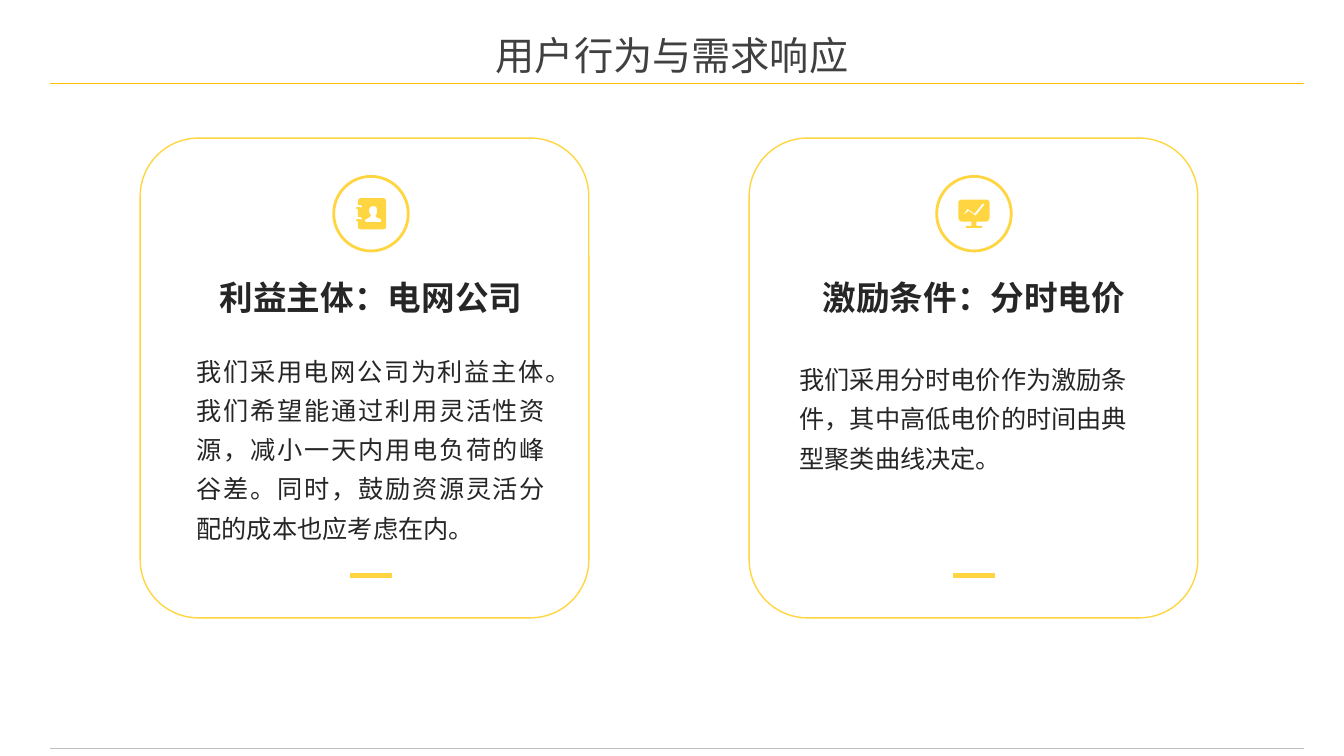
from pptx import Presentation
from pptx.dml.color import RGBColor
from pptx.enum.shapes import MSO_CONNECTOR as Connector, MSO_SHAPE as Preset
from pptx.enum.text import MSO_ANCHOR as Anchor, PP_ALIGN as Align
from pptx.oxml.ns import qn
from pptx.util import Inches, Pt
from lxml.etree import SubElement

THEME = {
    "yellow": RGBColor.from_string("FFD641"),
    "amber": RGBColor.from_string("FFC000"),
    "grey": RGBColor.from_string("BFBFBF"),
    "white": RGBColor.from_string("FFFFFF"),
    "title": {"name": "Noto Sans CJK SC", "size": Pt(28),
              "color": RGBColor.from_string("404040")},
    "heading": {"name": "Arial", "size": Pt(24), "bold": True,
                "color": RGBColor.from_string("262626")},
    "body": {"name": "Arial", "size": Pt(18), "bold": False,
             "color": RGBColor.from_string("262626")},
}

# The slide is a grid of 1333 columns by 750 rows of square cells
CELL = Inches(0.01)
COLUMNS, ROWS = 1333, 750

# Icon outlines in cells: pairs are corners, sixes are curves
CONTACT_BOOK = (30, 31, [
    [(27, 0), (5, 0), (3, 0, 2, 2, 2, 3), (2, 7), (5, 7), (6, 7, 6, 10, 5, 10),
     (5, 9, 4, 9, 4, 9), (1, 9), (0, 9, 0, 11, 1, 11), (2, 11), (2, 19), (5, 19),
     (6, 19, 6, 22, 5, 22), (5, 21, 4, 21, 4, 21), (1, 21), (0, 21, 0, 23, 1, 23),
     (2, 23), (2, 28), (2, 30, 3, 31, 5, 31), (27, 31), (29, 31, 30, 30, 30, 28),
     (30, 3), (30, 2, 29, 0, 27, 0)],
    [(25, 23), (25, 24), (10, 24), (9, 24, 9, 22, 9, 22), (10, 21, 11, 20, 12, 20),
     (13, 19, 15, 18, 15, 17), (14, 16, 13, 14, 13, 13), (13, 10, 14, 8, 17, 8),
     (21, 8, 21, 10, 21, 13), (21, 14, 21, 16, 20, 17), (19, 17, 19, 18, 22, 20),
     (24, 20, 25, 21, 25, 22)],
])
MONITOR = (31, 28, [
    [(27, 0), (4, 0), (2, 0, 0, 1, 0, 3), (0, 18), (0, 20, 2, 22, 4, 22), (13, 22),
     (13, 26), (8, 26), (7, 26, 7, 28, 8, 28), (23, 28), (24, 28, 24, 26, 23, 26),
     (18, 26), (18, 22), (27, 22), (29, 22, 31, 20, 31, 18), (31, 3),
     (31, 1, 29, 0, 27, 0)],
    [(26, 5), (17, 16), (10, 11), (7, 14), (6, 15), (6, 14), (9, 9), (16, 14),
     (24, 4), (25, 4)],
])
CARDS = [
    ("利益主体：电网公司",
     "我们采用电网公司为利益主体。我们希望能通过利用灵活性资源，减小一天内用电负荷的峰谷差。"
     "同时，鼓励资源灵活分配的成本也应考虑在内。",
     Align.JUSTIFY, Pt(21), CONTACT_BOOK),
    ("激励条件：分时电价",
     "我们采用分时电价作为激励条件，其中高低电价的时间由典型聚类曲线决定。",
     Align.LEFT, Pt(27), MONITOR),
]

presentation = Presentation()
presentation.slide_width, presentation.slide_height = COLUMNS * CELL, ROWS * CELL
slide = presentation.slides.add_slide(presentation.slide_layouts[6])
shapes = slide.shapes


def write(paragraph, text, style, **layout):
    run = paragraph.add_run()
    run.text = text
    for key, value in THEME[style].items():
        if key == "color":
            run.font.color.rgb = value
        else:
            setattr(run.font, key, value)
    SubElement(run.font._element, qn("a:ea")).set("typeface", THEME[style]["name"])
    for key, value in layout.items():
        setattr(paragraph, key, value)


def trace(outline, left, top):
    points = []
    for step in outline:
        if len(step) == 2:
            points.append(step)
            continue
        x0, y0 = points[-1]
        x1, y1, x2, y2, x3, y3 = step
        for t in (0.25, 0.5, 0.75, 1):
            a, b, c, d = (1 - t) ** 3, 3 * t * (1 - t) ** 2, 3 * t * t * (1 - t), t ** 3
            points.append((a * x0 + b * x1 + c * x2 + d * x3,
                           a * y0 + b * y1 + c * y2 + d * y3))
    return [((left + x) * CELL, (top + y) * CELL) for x, y in points]


# Title
title = shapes.add_shape(Preset.ROUNDED_RECTANGLE, *(n * CELL for n in (447, 27, 439, 55)))
title.adjustments[0] = 0.09
title.shadow.inherit = False
title.fill.background()
title.line.fill.background()
title.text_frame.vertical_anchor = Anchor.MIDDLE
write(title.text_frame.paragraphs[0], "用户行为与需求响应", "title", alignment=Align.CENTER)

# Cards, each with a ringed icon and its text
rules = [(50, 1293, 83, "amber", 0.5), (50, 1293, 742, "grey", 0.5)]
for index, (heading, body, alignment, gap, icon) in enumerate(CARDS):
    card_left, center = 139 + 604 * index, 368 + 598 * index
    ring_top, ring_size = 175, 74

    card = shapes.add_shape(Preset.ROUNDED_RECTANGLE,
                            *(n * CELL for n in (card_left, 137, 445, 476)))
    card.adjustments[0] = 0.13
    card.fill.solid()
    card.fill.fore_color.rgb = THEME["white"]
    ring = shapes.add_shape(Preset.OVAL, *(n * CELL for n in (
        center - ring_size // 2, ring_top, ring_size, ring_size)))
    ring.fill.background()
    for shape, width in ((card, 1), (ring, 2)):
        shape.shadow.inherit = False
        shape.line.color.rgb = THEME["yellow"]
        shape.line.width = Pt(width)

    icon_width, icon_height, outlines = icon
    icon_left = center - icon_width / 2
    icon_top = ring_top + (ring_size - icon_height) / 2
    contours = [trace(outline, icon_left, icon_top) for outline in outlines]
    builder = shapes.build_freeform(*contours[0][0])
    builder.add_line_segments(contours[0][1:], close=True)
    for contour in contours[1:]:
        builder.move_to(*contour[0])
        builder.add_line_segments(contour[1:], close=True)
    drawing = builder.convert_to_shape()
    drawing.shadow.inherit = False
    drawing.fill.solid()
    drawing.fill.fore_color.rgb = THEME["yellow"]
    drawing.line.fill.background()

    frame = shapes.add_textbox(*(n * CELL for n in (center - 173, 263, 346, 284))).text_frame
    for key, value in {"word_wrap": True, "margin_left": 0, "margin_right": 0,
                       "margin_top": 0, "margin_bottom": 0}.items():
        setattr(frame, key, value)
    write(frame.paragraphs[0], heading, "heading", alignment=Align.CENTER, line_spacing=1.3)
    write(frame.add_paragraph(), body, "body", alignment=alignment, line_spacing=1.3,
          space_before=gap)
    rules.append((center - 21, center + 21, 571, "yellow", 3.5))

# Header and footer rules, and the short accents in the cards
for start, end, row, color, width in rules:
    rule = shapes.add_connector(Connector.STRAIGHT, start * CELL, row * CELL,
                                end * CELL, row * CELL)
    rule.line.color.rgb = THEME[color]
    rule.line.width = Pt(width)
    SubElement(rule._element.spPr, qn("a:effectLst"))

presentation.save("out.pptx")
